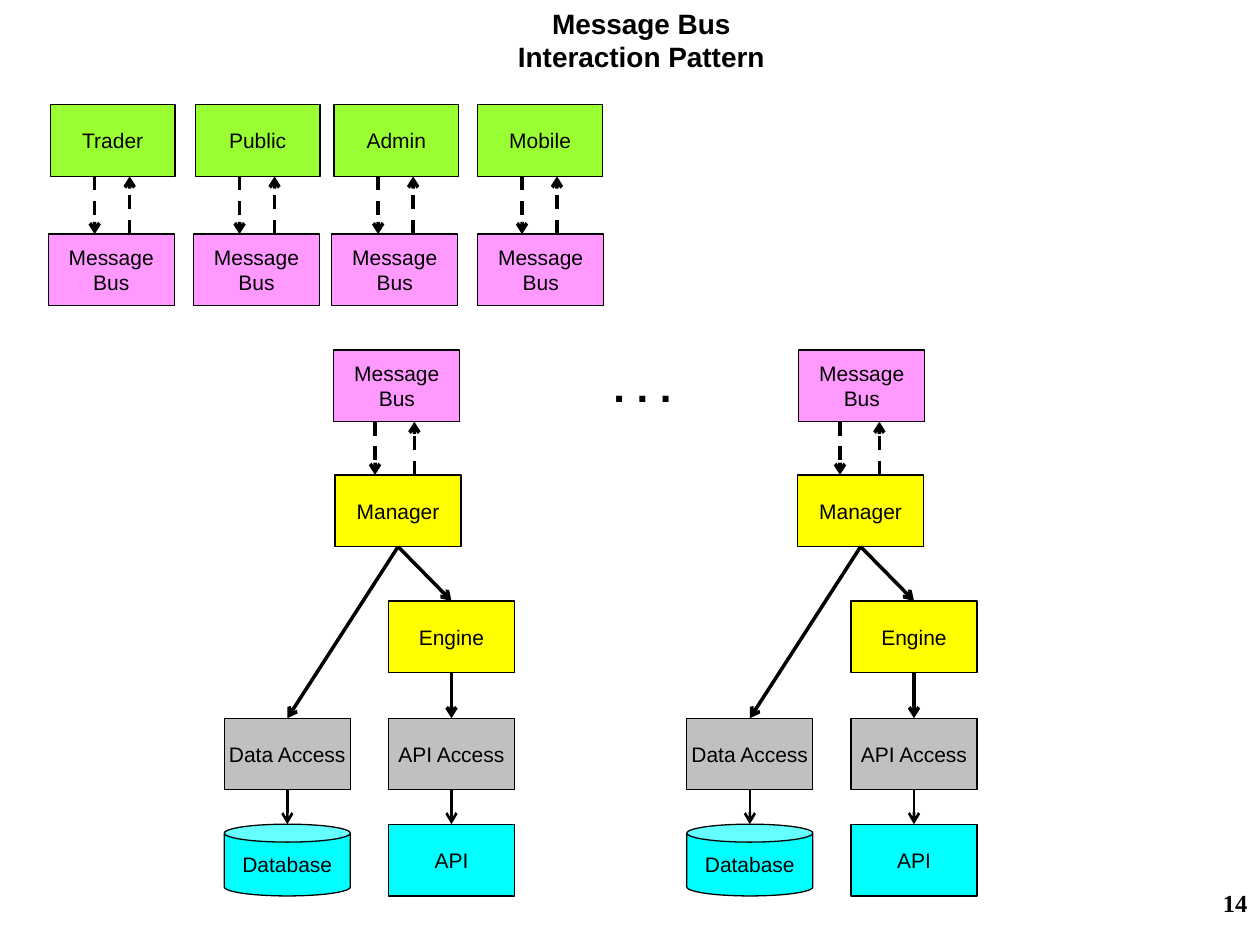
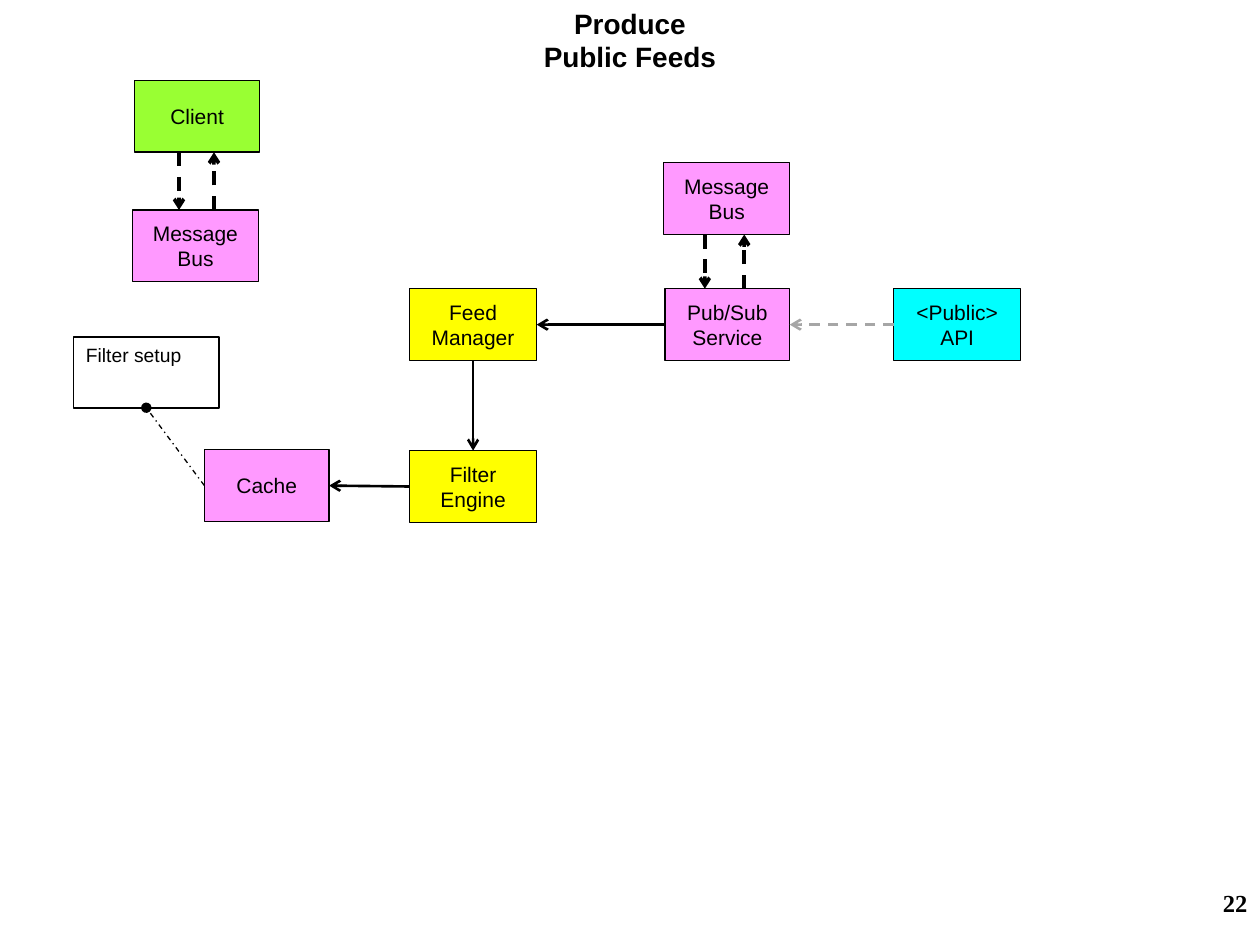
from dataclasses import dataclass

from lxml import etree
from pptx import Presentation
from pptx.dml.color import RGBColor
from pptx.enum.dml import MSO_LINE
from pptx.enum.shapes import MSO_CONNECTOR, MSO_SHAPE
from pptx.enum.text import MSO_ANCHOR, MSO_AUTO_SIZE, PP_ALIGN
from pptx.oxml.ns import qn
from pptx.util import Pt

RECT, CAN = MSO_SHAPE.RECTANGLE, MSO_SHAPE.CAN
STRAIGHT = MSO_CONNECTOR.STRAIGHT
DASH, DASH_DOT = MSO_LINE.DASH, MSO_LINE.DASH_DOT
LEFT, CENTER, RIGHT = PP_ALIGN.LEFT, PP_ALIGN.CENTER, PP_ALIGN.RIGHT
TOP, MIDDLE = MSO_ANCHOR.TOP, MSO_ANCHOR.MIDDLE
TITLE_ONLY = 5


@dataclass(frozen=True)
class Theme:
    """Colours, fonts and type sizes shared by the slides."""
    ink: str = "000000"
    faint: str = "A6A6A6"
    note: str = "FFFFFF"
    client: str = "99FF33"
    bus: str = "FF99FF"
    logic: str = "FFFF00"
    access: str = "C0C0C0"
    store: str = "00FFFF"
    font: str = "Arial"
    number_font: str = "Times New Roman"
    title_size: float = 16
    number_size: float = 14
    node_size: float = 12
    note_size: float = 11
    dots_size: float = 24


THEME = Theme()

# Content: all lengths are points.
SLIDE_SIZE = (720, 540)
NODE_WIDTH, NODE_HEIGHT = 72, 41
CLIENT_WIDTH = 71.3
BUS = "Message\nBus"
CLIENT_LANES = (25.3, 45.3)    # request and reply, from the left of a client
SERVICE_LANES = (23.5, 46)     # the same, from the left of a service's bus
CLIENT_TO_BUS = 74             # from the top of a client to the top of its bus

PATTERN = {
    "title": "Message Bus\nInteraction Pattern",
    "title_area": (285, 0, 163, 46),
    "number": "14",
    "client_top": 59.8,
    # label, left, left of its bus
    "clients": [
        ("Trader", 28.8, 27.6),
        ("Public", 111.6, 110.6),
        ("Admin", 190.8, 189.6),
        ("Mobile", 273, 273),
    ],
    # left of the bus, left of the manager
    "services": [(190.8, 191.5), (456.5, 455.8)],
    "dots": (". . .", (343.4, 202.3, 53.3, 36)),
}
# name: (label, shift from the manager, top, fill, shape)
SERVICE_PARTS = {
    "manager": ("Manager", 0, 271.4, THEME.logic, RECT),
    "engine": ("Engine", 30.5, 343.4, THEME.logic, RECT),
    "data_access": ("Data Access", -63.3, 410.4, THEME.access, RECT),
    "api_access": ("API Access", 30.5, 410.4, THEME.access, RECT),
    "database": ("Database", -63.3, 471, THEME.store, CAN),
    "api": ("API", 30.5, 471, THEME.store, RECT),
}
SERVICE_BUS_TOP = 200
# from, to, line width
SERVICE_LINKS = [
    ("manager", "engine", 2),
    ("manager", "data_access", 2),
    ("engine", "api_access", 2),
    ("data_access", "database", 1.5),
    ("api_access", "api", 1.5),
]

FEEDS = {
    "title": "Produce\nPublic Feeds",
    "title_area": (188, 0, 344, 46),
    "number": "22",
    "client_top": 46,
    "clients": [("Client", 77, 75.7)],
    # name: (label, left, top, width, fill)
    "parts": {
        "feed": ("Feed\nManager", 234, 165, 72.7, THEME.logic),
        "filter": ("Filter\nEngine", 234, 257.5, 72.7, THEME.logic),
        "cache": ("Cache", 116.8, 257, 71.3, THEME.bus),
        "bus": (BUS, 379.3, 93, 72, THEME.bus),
        "service": ("Pub/Sub\nService", 380, 165, 71.3, THEME.bus),
        "api": ("<Public>\nAPI", 510.6, 165, 72.7, THEME.store),
    },
    # from, its side, to, its side, colour, dash
    "links": [
        ("service", "left", "feed", "right", THEME.ink, None),
        ("feed", "bottom", "filter", "top", THEME.ink, None),
        ("filter", "left", "cache", "right", THEME.ink, None),
        ("api", "left", "service", "right", THEME.faint, DASH),
    ],
    "note": ("Filter setup", (42, 192.7, 83.2, 40.3)),
}


def points(values):
    """Turn plain numbers into lengths."""
    return [Pt(value) for value in values]


def write(frame, text, size, align=CENTER, font=THEME.font, bold=False,
          anchor=TOP, wrap=True):
    """Fill a text frame, one paragraph a line."""
    frame.text = text
    frame.auto_size = MSO_AUTO_SIZE.NONE
    frame.word_wrap = wrap
    frame.vertical_anchor = anchor
    for para in frame.paragraphs:
        para.alignment = align
        para.font.name = font
        para.font.size = Pt(size)
        para.font.bold = bold
        para.font.color.rgb = RGBColor.from_string(THEME.ink)


def add_page(deck, content):
    """Start a slide with its title and number."""
    page = deck.slides.add_slide(deck.slide_layouts[TITLE_ONLY])
    title = page.shapes.title
    title.left, title.top, title.width, title.height = points(
        content["title_area"])
    write(title.text_frame, content["title"], THEME.title_size, bold=True)
    number = page.shapes.add_textbox(*points((570, 504, 150, 36)))
    write(number.text_frame, content["number"], THEME.number_size, RIGHT,
          THEME.number_font, bold=True)
    return page


def add_box(page, area, fill, line=0.75, shape=RECT):
    """Draw an outlined shape without text."""
    box = page.shapes.add_shape(shape, *points(area))
    box.shadow.inherit = False
    box.fill.solid()
    box.fill.fore_color.rgb = RGBColor.from_string(fill)
    box.line.color.rgb = RGBColor.from_string(THEME.ink)
    box.line.width = Pt(line)
    return box


def add_node(page, label, left, top, fill, width=NODE_WIDTH, shape=RECT):
    """Draw a component with a centred label."""
    box = add_box(page, (left, top, width, NODE_HEIGHT), fill, shape=shape)
    write(box.text_frame, label, THEME.node_size, anchor=MIDDLE, wrap=False)
    return box


def side(box, name):
    """Return the middle of one side of a box."""
    across = {"left": 0, "right": 2}.get(name, 1)
    down = {"top": 0, "bottom": 2}.get(name, 1)
    return (box.left + box.width * across // 2,
            box.top + box.height * down // 2)


def add_arrow(page, start, end, width, color=THEME.ink, dash=None,
              tip="arrow"):
    """Draw a straight line with a tip at its end."""
    arrow = page.shapes.add_connector(STRAIGHT, *start, *end)
    arrow.line.color.rgb = RGBColor.from_string(color)
    arrow.line.width = Pt(width)
    if dash is not None:
        arrow.line.dash_style = dash
    properties = arrow._element.spPr
    etree.SubElement(properties.find(qn("a:ln")), qn("a:tailEnd"), type=tip)
    etree.SubElement(properties, qn("a:effectLst"))


def add_exchange(page, upper, lower, lanes):
    """Draw the request down and the reply up between two boxes."""
    request, reply = (upper.left + Pt(lane) for lane in lanes)
    high, low = upper.top + upper.height, lower.top
    add_arrow(page, (request, high), (request, low), 2, dash=DASH)
    add_arrow(page, (reply, low), (reply, high), 2, dash=DASH)


def add_clients(page, content):
    """Draw each client above its message bus."""
    top = content["client_top"]
    for label, left, bus_left in content["clients"]:
        client = add_node(page, label, left, top, THEME.client, CLIENT_WIDTH)
        bus = add_node(page, BUS, bus_left, top + CLIENT_TO_BUS, THEME.bus)
        add_exchange(page, client, bus, CLIENT_LANES)


def add_service(page, bus_left, manager_left):
    """Draw one service, from its bus down to its stores."""
    bus = add_node(page, BUS, bus_left, SERVICE_BUS_TOP, THEME.bus)
    nodes = {
        name: add_node(page, label, manager_left + shift, top, fill,
                       shape=shape)
        for name, (label, shift, top, fill, shape) in SERVICE_PARTS.items()
    }
    add_exchange(page, bus, nodes["manager"], SERVICE_LANES)
    for source, target, width in SERVICE_LINKS:
        add_arrow(page, side(nodes[source], "bottom"),
                  side(nodes[target], "top"), width)


def build_pattern(deck):
    """Build the interaction pattern slide."""
    page = add_page(deck, PATTERN)
    add_clients(page, PATTERN)
    for bus_left, manager_left in PATTERN["services"]:
        add_service(page, bus_left, manager_left)
    text, area = PATTERN["dots"]
    dots = page.shapes.add_textbox(*points(area))
    write(dots.text_frame, text, THEME.dots_size, LEFT, bold=True)


def build_feeds(deck):
    """Build the public feeds slide."""
    page = add_page(deck, FEEDS)
    add_clients(page, FEEDS)
    nodes = {
        name: add_node(page, label, left, top, fill, width)
        for name, (label, left, top, width, fill) in FEEDS["parts"].items()
    }
    add_exchange(page, nodes["bus"], nodes["service"], SERVICE_LANES)
    for source, leaving, target, entering, color, dash in FEEDS["links"]:
        add_arrow(page, side(nodes[source], leaving),
                  side(nodes[target], entering), 1.5, color, dash)
    text, area = FEEDS["note"]
    note = add_box(page, area, THEME.note, line=1)
    write(note.text_frame, text, THEME.note_size, LEFT)
    add_arrow(page, side(nodes["cache"], "left"), side(note, "bottom"), 0.75,
              dash=DASH_DOT, tip="oval")


deck = Presentation()
deck.slide_width, deck.slide_height = points(SLIDE_SIZE)
build_pattern(deck)
build_feeds(deck)
deck.save("out.pptx")
